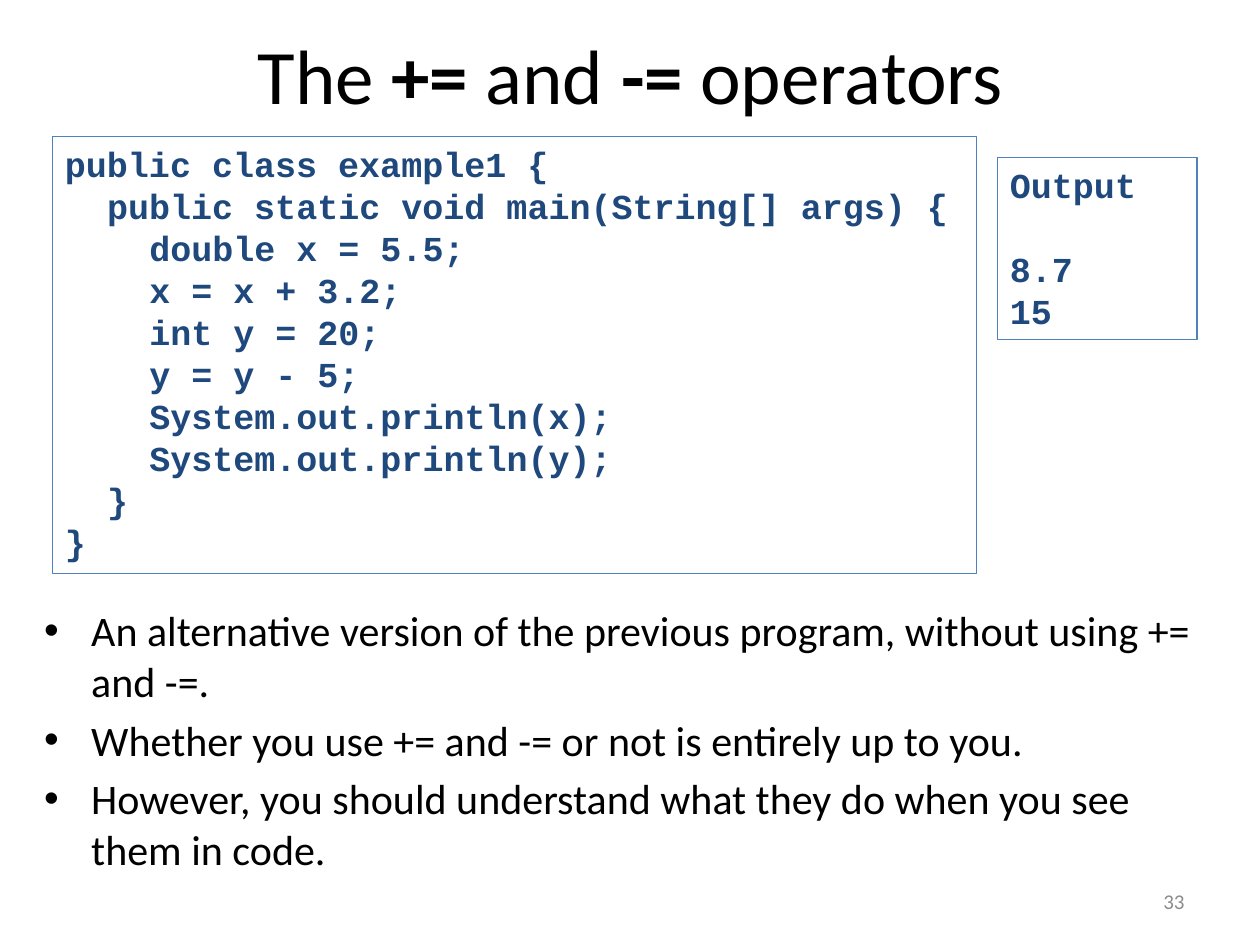
import pptx
import pptx.util
import pptx.dml.color
import pptx.enum.text
import pptx.enum.shapes
import lxml.etree

Cm = pptx.util.Cm
Pt = pptx.util.Pt
ALIGN = pptx.enum.text.PP_ALIGN
ANCHOR = pptx.enum.text.MSO_ANCHOR


def color(value):
    return pptx.dml.color.RGBColor.from_string(value)


def add_run(paragraph, text, size, font_name, font_color, bold=False):
    run = paragraph.add_run()
    run.text = text
    run.font.size = Pt(size)
    run.font.name = font_name
    run.font.bold = bold
    run.font.color.rgb = color(font_color)


presentation = pptx.Presentation()
presentation.slide_width = Cm(25.4)
presentation.slide_height = Cm(19.05)
slide = presentation.slides.add_slide(presentation.slide_layouts[5])

title = slide.shapes.title
title.left, title.top, title.width, title.height = Cm(0.64), Cm(0.21), Cm(24.13), Cm(2.54)
title.text_frame.vertical_anchor = ANCHOR.MIDDLE
title_paragraph = title.text_frame.paragraphs[0]
title_paragraph.alignment = ALIGN.CENTER
for text, bold in [("The ", False), ("+=", True), (" and ", False), ("-=", True), (" operators", False)]:
    add_run(title_paragraph, text, 44, "Calibri", "000000", bold)

bullets = [
    "An alternative version of the previous program, without using += and -=.",
    "Whether you use += and -= or not is entirely up to you.",
    "However, you should understand what they do when you see them in code.",
]
body = slide.shapes.add_textbox(Cm(0.64), Cm(12.07), Cm(24.34), Cm(5.72))
body.text_frame.word_wrap = True
for index, text in enumerate(bullets):
    paragraph = body.text_frame.paragraphs[0] if index == 0 else body.text_frame.add_paragraph()
    paragraph.space_before = Pt(4.8)
    add_run(paragraph, text, 24, "Calibri", "000000")
    properties = paragraph._p.get_or_add_pPr()
    properties.set("marL", str(Cm(0.95)))
    properties.set("indent", str(-Cm(0.95)))
    for tag, name, value in [("buFont", "typeface", "Arial"), ("buChar", "char", "•")]:
        lxml.etree.SubElement(properties, pptx.oxml.ns.qn("a:" + tag)).set(name, value)

number = slide.shapes.add_textbox(Cm(18.2), Cm(17.66), Cm(5.93), Cm(1.01))
number.text_frame.word_wrap = True
number.text_frame.vertical_anchor = ANCHOR.MIDDLE
number.text_frame.paragraphs[0].alignment = ALIGN.RIGHT
add_run(number.text_frame.paragraphs[0], "33", 12, "Calibri", "8C8C8C")

line_height = 24
indent_step = Cm(0.85)
code_lines = [
    (0, 0, "public class example1 {"),
    (1, 0, "public static void main(String[] args) {"),
    (2, 0, "double x = 5.5;"),
    (2, 0, "x = x + 3.2;"),
    (2, 0, "int y = 20;"),
    (2, 0, "y = y - 5;"),
    (2, 0, "System.out.println(x);"),
    (2, 0, "System.out.println(y);"),
    (1, 0, "}"),
    (0, 0, "}"),
]
output_lines = [(0, 0, "Output"), (0, line_height, "8.7"), (0, 0, "15")]
boxes = [
    (1.06, 2.75, 18.63, 8.81, code_lines),
    (20.11, 3.18, 4.02, 3.67, output_lines),
]
for left, top, width, height, lines in boxes:
    box = slide.shapes.add_shape(
        pptx.enum.shapes.MSO_SHAPE.RECTANGLE, Cm(left), Cm(top), Cm(width), Cm(height)
    )
    box.shadow.inherit = False
    box.fill.background()
    box.line.color.rgb = color("4F81BD")
    box.line.width = Pt(0.75)
    box.text_frame.word_wrap = True
    box.text_frame.vertical_anchor = ANCHOR.TOP
    for index, (level, gap, text) in enumerate(lines):
        paragraph = box.text_frame.paragraphs[0] if index == 0 else box.text_frame.add_paragraph()
        paragraph.alignment = ALIGN.LEFT
        paragraph.line_spacing = Pt(line_height)
        paragraph.space_before = Pt(gap)
        paragraph._p.get_or_add_pPr().set("marL", str(level * indent_step))
        add_run(paragraph, text, 20, "Courier New", "1F497D", True)

presentation.save("out.pptx")
